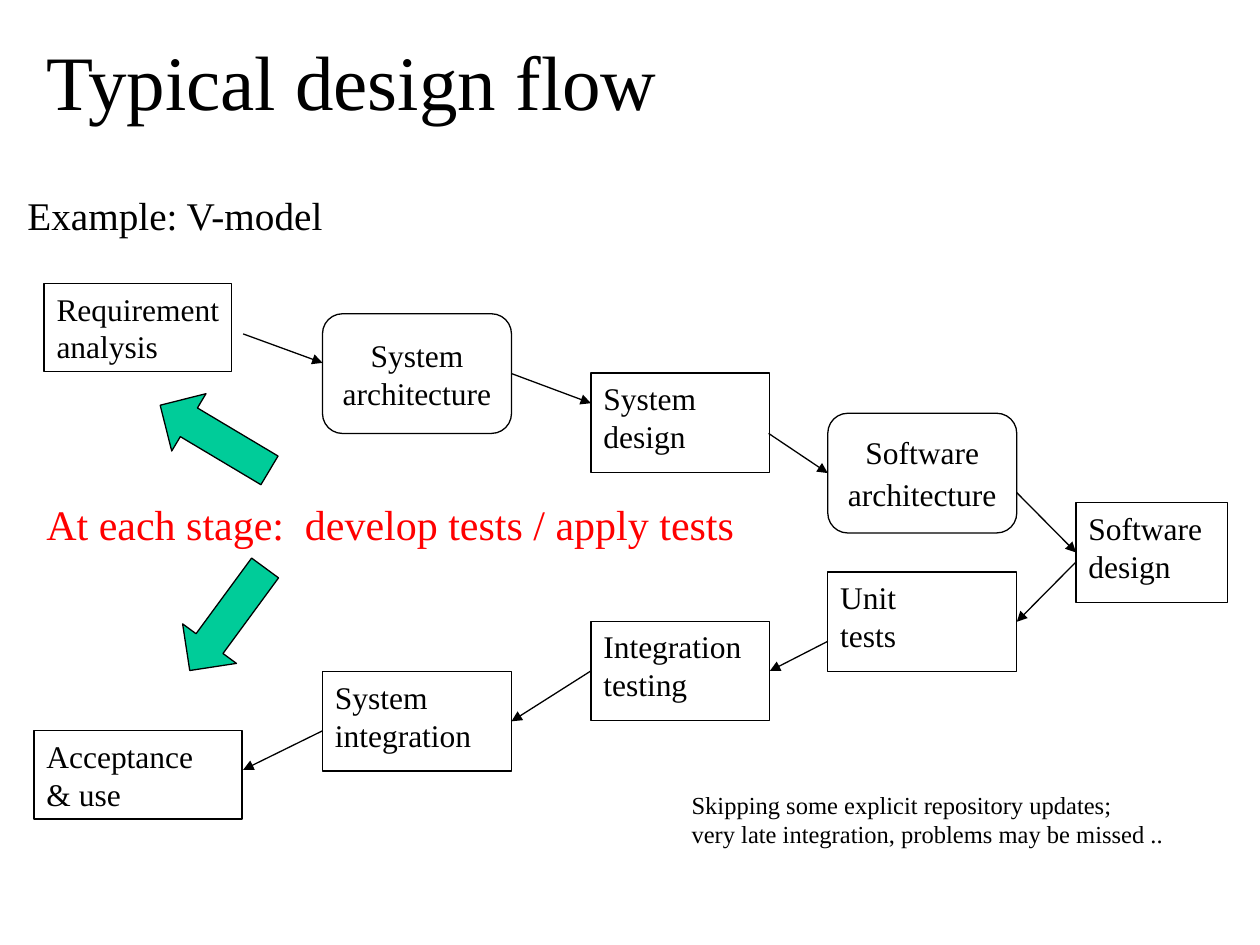
"""Build a slide showing the V-model as a typical design flow."""
from lxml.etree import SubElement
from pptx import Presentation
from pptx.dml.color import RGBColor
from pptx.enum.shapes import MSO_CONNECTOR, MSO_SHAPE
from pptx.enum.text import MSO_ANCHOR, PP_ALIGN
from pptx.oxml.ns import qn
from pptx.util import Inches, Pt

BLACK = RGBColor(0x00, 0x00, 0x00)
RED = RGBColor(0xFF, 0x00, 0x00)
GREEN = RGBColor(0x00, 0xCC, 0x99)
FONT = "Times New Roman"
LEFT, RIGHT = 1, 3

presentation = Presentation()
presentation.slide_width = Inches(10)
presentation.slide_height = Inches(7.5)
slide = presentation.slides.add_slide(presentation.slide_layouts[6])
CELL = presentation.slide_width / 100


def grid(*cells):
    """Turn counts of grid columns and rows into lengths."""
    return [round(cell * CELL) for cell in cells]


def write(shape, lines, size, color=BLACK, alignment=PP_ALIGN.LEFT):
    """Fill a shape with one paragraph for each line."""
    frame = shape.text_frame
    frame.word_wrap = True
    frame.text = "\n".join(lines)
    for paragraph in frame.paragraphs:
        paragraph.alignment = alignment
        paragraph.font.name = FONT
        paragraph.font.size = Pt(size)
        paragraph.font.color.rgb = color


title = slide.shapes.add_textbox(*grid(2.7, 0.8, 94.5, 11.1))
write(title, ["Typical design flow"], 44)
title.text_frame.vertical_anchor = MSO_ANCHOR.MIDDLE

example = slide.shapes.add_textbox(*grid(1.2, 14.7, 41, 5))
properties = example.text_frame.paragraphs[0]._p.get_or_add_pPr()
indent = grid(3.8)[0]
properties.set("marL", str(indent))
properties.set("indent", str(-indent))
SubElement(properties, qn("a:buChar")).set("char", "•")
write(example, ["Example: V-model"], 22.4)

stages = [
    ("Requirement", "analysis", 3.5, 22.5, 14.9, 7),
    ("System", "architecture", 25.6, 24.9, 15, 9.5),
    ("System", "design", 46.9, 29.6, 14.2, 7.9),
    ("Software", "architecture", 65.7, 32.8, 15, 9.5),
    ("Software", "design", 85.4, 39.9, 12, 7.9),
    ("Unit", "tests", 65.7, 45.4, 15, 7.9),
    ("Integration", "testing", 46.9, 49.3, 14.2, 7.9),
    ("System", "integration", 25.6, 53.3, 15, 7.9),
    ("Acceptance", "& use", 2.7, 58, 16.5, 7),
]
boxes = []
for first, second, *place in stages:
    rounded = second == "architecture"
    kind = MSO_SHAPE.ROUNDED_RECTANGLE if rounded else MSO_SHAPE.RECTANGLE
    box = slide.shapes.add_shape(kind, *grid(*place))
    box.shadow.inherit = False
    box.fill.background()
    box.line.color.rgb = BLACK
    box.line.width = Pt(0.75)
    write(box, [first, second], 18, alignment=PP_ALIGN.CENTER if rounded else PP_ALIGN.LEFT)
    box.text_frame.vertical_anchor = MSO_ANCHOR.MIDDLE if rounded else MSO_ANCHOR.TOP
    boxes.append(box)
boxes[0].text_frame.word_wrap = False
space = boxes[3].text_frame.paragraphs[1].add_run()
space.text = " "
space.font.size = Pt(20)

steps = [
    (19.3, 26.5, 25.6, 28.8, None, None),
    (40.6, 29.6, 46.9, 32, RIGHT, None),
    (61, 34.4, 65.7, 37.5, None, LEFT),
    (80.7, 39.1, 85.4, 43.8, None, LEFT),
    (85.4, 44.6, 80.7, 49.3, None, RIGHT),
    (65.7, 50.9, 61, 53.2, None, RIGHT),
    (46.9, 53.2, 40.6, 57.2, LEFT, RIGHT),
    (25.6, 58, 19.3, 61.1, None, None),
]
for index, (*ends, begin_side, end_side) in enumerate(steps):
    connector = slide.shapes.add_connector(MSO_CONNECTOR.STRAIGHT, *grid(*ends))
    if begin_side is not None:
        connector.begin_connect(boxes[index], begin_side)
    if end_side is not None:
        connector.end_connect(boxes[index + 1], end_side)
    connector.line.color.rgb = BLACK
    connector.line.width = Pt(0.75)
    SubElement(connector.line._get_or_add_ln(), qn("a:tailEnd")).set("type", "triangle")
    SubElement(connector._element.spPr, qn("a:effectLst"))

remark = slide.shapes.add_textbox(*grid(53.9, 62.2, 43.5, 5.7))
write(remark, ["Skipping some explicit repository updates;",
               "very late integration, problems may be missed .."], 14)

tests = slide.shapes.add_textbox(*grid(2.7, 39.1, 57.3, 5))
write(tests, ["At each stage:  develop tests / apply tests"], 24, RED)

for left, top, rotation in [(15.4, 44.1, 36.3), (14.4, 29.7, 120.8)]:
    arrow = slide.shapes.add_shape(MSO_SHAPE.DOWN_ARROW, *grid(left, top, 5.3, 10.1))
    arrow.rotation = rotation
    arrow.shadow.inherit = False
    arrow.fill.solid()
    arrow.fill.fore_color.rgb = GREEN
    arrow.line.color.rgb = BLACK
    arrow.line.width = Pt(0.75)

presentation.save("out.pptx")
